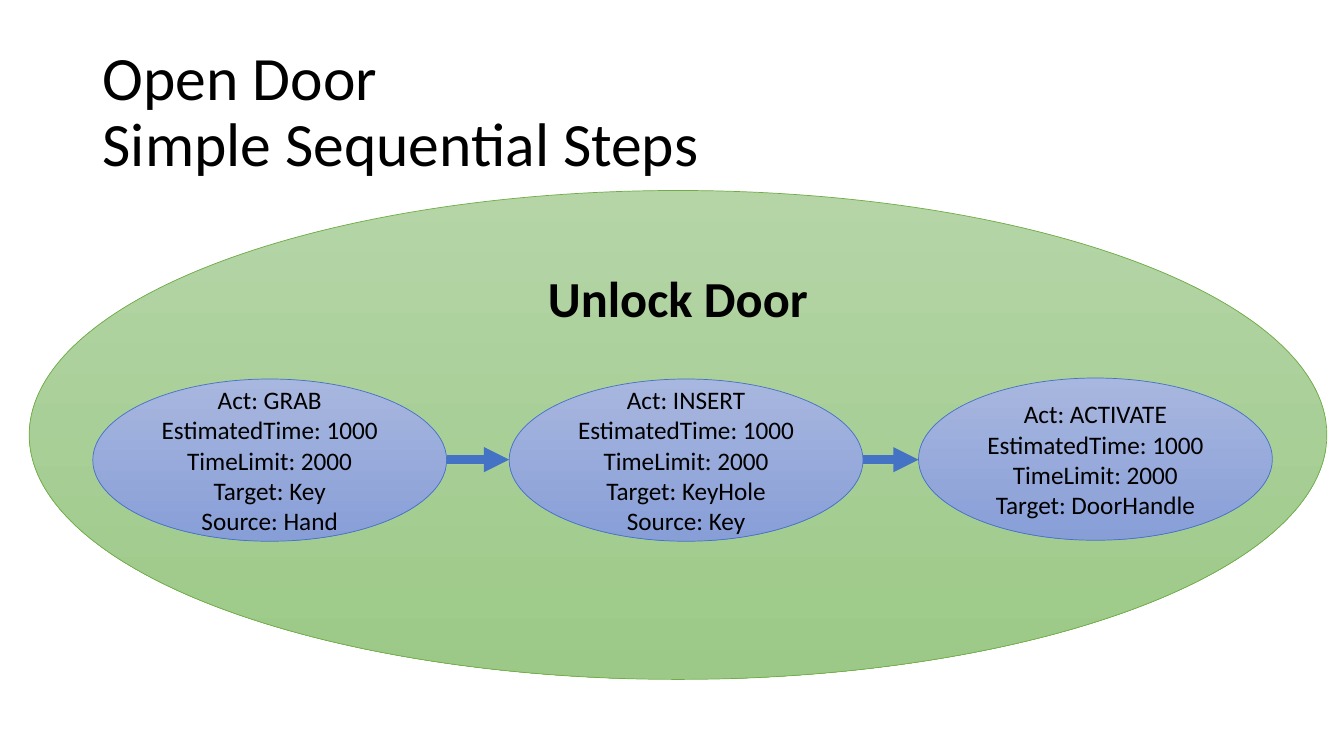
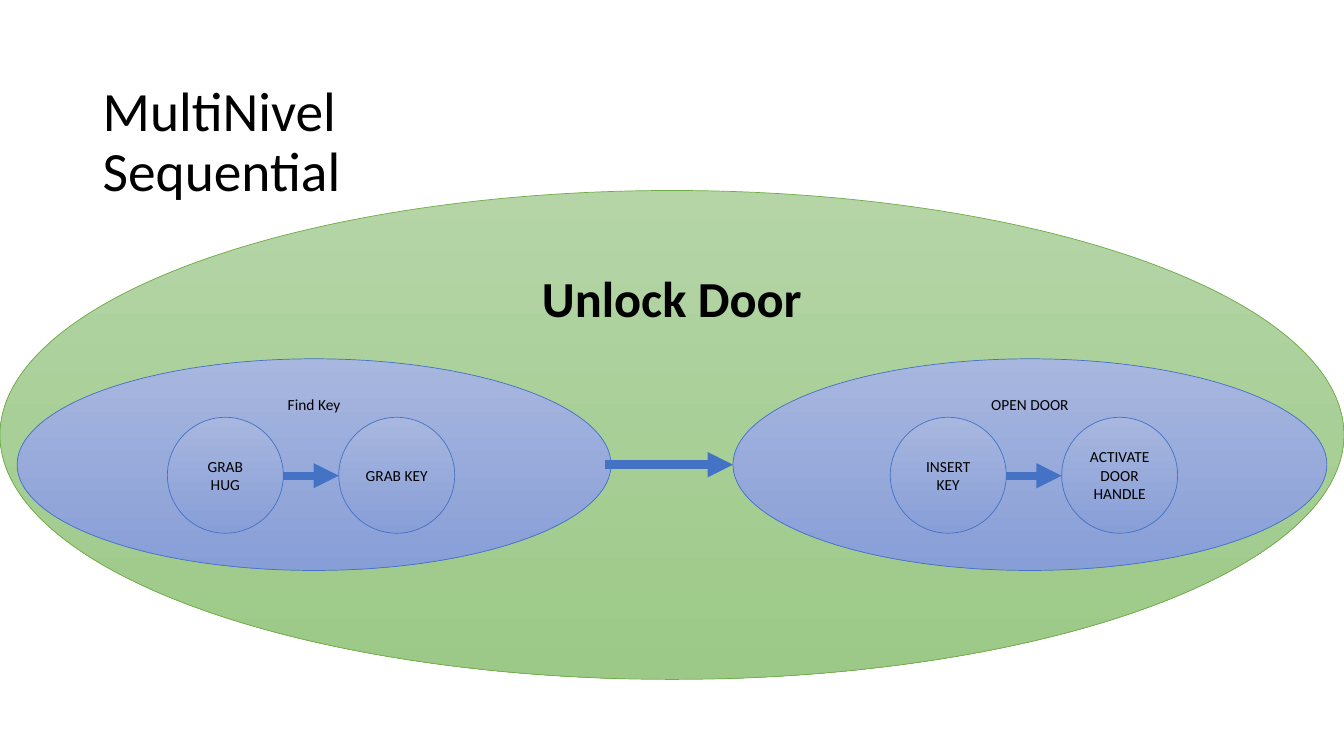
from lxml import etree
from pptx import Presentation
from pptx.dml.color import RGBColor
from pptx.enum.shapes import MSO_CONNECTOR, MSO_SHAPE
from pptx.enum.text import MSO_ANCHOR, PP_ALIGN
from pptx.oxml.ns import qn
from pptx.util import Inches, Pt

OVAL, STRAIGHT = MSO_SHAPE.OVAL, MSO_CONNECTOR.STRAIGHT
TOP, MIDDLE = MSO_ANCHOR.TOP, MSO_ANCHOR.MIDDLE
LEFT, CENTER = PP_ALIGN.LEFT, PP_ALIGN.CENTER

# Shared style: gradient top, gradient bottom, outline
rgb = RGBColor.from_string
FONT, TEXT, ARROW = "Calibri", "000000", "4472C4"
GREEN = ("B5D5A7", "9CC987", "70AD47")
BLUE = ("A8B7DF", "889ED7", "4472C4")


def write(frame, text, size, align, anchor, bold=False, spacing=1.0):
    frame.word_wrap = True
    frame.vertical_anchor = anchor
    for i, line in enumerate(text.split("\n")):
        paragraph = frame.paragraphs[0] if i == 0 else frame.add_paragraph()
        paragraph.alignment = align
        paragraph.line_spacing = spacing
        run = paragraph.add_run()
        run.text = line
        run.font.name, run.font.size, run.font.bold = FONT, Pt(size), bold
        run.font.color.rgb = rgb(TEXT)


def add_oval(slide, box, palette, text, size, anchor=MIDDLE, bold=False):
    oval = slide.shapes.add_shape(OVAL, *map(Inches, box))
    oval.shadow.inherit = False
    oval.fill.gradient()
    oval.fill.gradient_angle = 270
    for stop, shade in zip(oval.fill.gradient_stops, palette):
        stop.color.rgb = rgb(shade)
    oval.line.color.rgb = rgb(palette[2])
    oval.line.width = Pt(0.5)
    write(oval.text_frame, text, size, CENTER, anchor, bold)


# Sequential steps: left, top, text
STEP_W, STEP_H = 3.51, 1.61
steps = [
    (0.92, 3.76, "Act: GRAB\nEstimatedTime: 1000\nTimeLimit: 2000\nTarget: Key\nSource: Hand"),
    (5.05, 3.76, "Act: INSERT\nEstimatedTime: 1000\nTimeLimit: 2000\nTarget: KeyHole\nSource: Key"),
    (9.11, 3.75, "Act: ACTIVATE\nEstimatedTime: 1000\nTimeLimit: 2000\nTarget: DoorHandle"),
]
step_ovals = [((x, y, STEP_W, STEP_H), text, 18, MIDDLE) for x, y, text in steps]
step_arrows = [(a[0] + STEP_W, b[0], 4.56) for a, b in zip(steps, steps[1:])]

# Nested groups: left, name, left of first act, acts
GROUP_W, ACT_SIZE, ACT_PITCH = 5.89, 1.15, 1.7
groups = [
    (0.17, "Find Key", 1.66, ["GRAB HUG", "GRAB KEY"]),
    (7.27, "OPEN DOOR", 8.83, ["INSERT KEY", "ACTIVATE DOOR HANDLE"]),
]
group_ovals, group_arrows = [], [(6, groups[1][0], 4.61)]
for x, name, act_x, acts in groups:
    group_ovals.append(((x, 3.56, GROUP_W, 2.1), name, 11, TOP))
    for i, act in enumerate(acts):
        box = (act_x + i * ACT_PITCH, 4.14, ACT_SIZE, ACT_SIZE)
        group_ovals.append((box, act, 11, MIDDLE))
    group_arrows.append((act_x + ACT_SIZE, act_x + ACT_PITCH, 4.72))

# Title, title size, title top inset, goal left, goal width, ovals, arrows
pages = [
    ("Open Door\nSimple Sequential Steps", 44, 0.05, 0.29, 12.87, step_ovals, step_arrows),
    ("MultiNivel\nSequential", 39.6, 0.65, 0, 13.33, group_ovals, group_arrows),
]

deck = Presentation()
deck.slide_width, deck.slide_height = Inches(13.33), Inches(7.5)

for title, title_size, inset, goal_x, goal_w, ovals, arrows in pages:
    slide = deck.slides.add_slide(deck.slide_layouts[6])

    # Goal and title
    add_oval(slide, (goal_x, 1.89, goal_w, 4.85), GREEN, "Unlock Door", 36, TOP, True)
    heading = slide.shapes.add_textbox(Inches(0.92), Inches(0.4), Inches(11.5), Inches(1.45))
    heading.text_frame.margin_top = Inches(inset)
    write(heading.text_frame, title, title_size, LEFT, MIDDLE, spacing=0.9)

    # Steps
    for box, text, size, anchor in ovals:
        add_oval(slide, box, BLUE, text, size, anchor)

    # Arrows
    for start, end, y in arrows:
        arrow = slide.shapes.add_connector(
            STRAIGHT, Inches(start), Inches(y), Inches(end), Inches(y))
        arrow.line.color.rgb = rgb(ARROW)
        arrow.line.width = Pt(6)
        etree.SubElement(arrow.line._get_or_add_ln(), qn("a:tailEnd"), type="triangle")
        etree.SubElement(arrow._element.spPr, qn("a:effectLst"))

deck.save("out.pptx")
